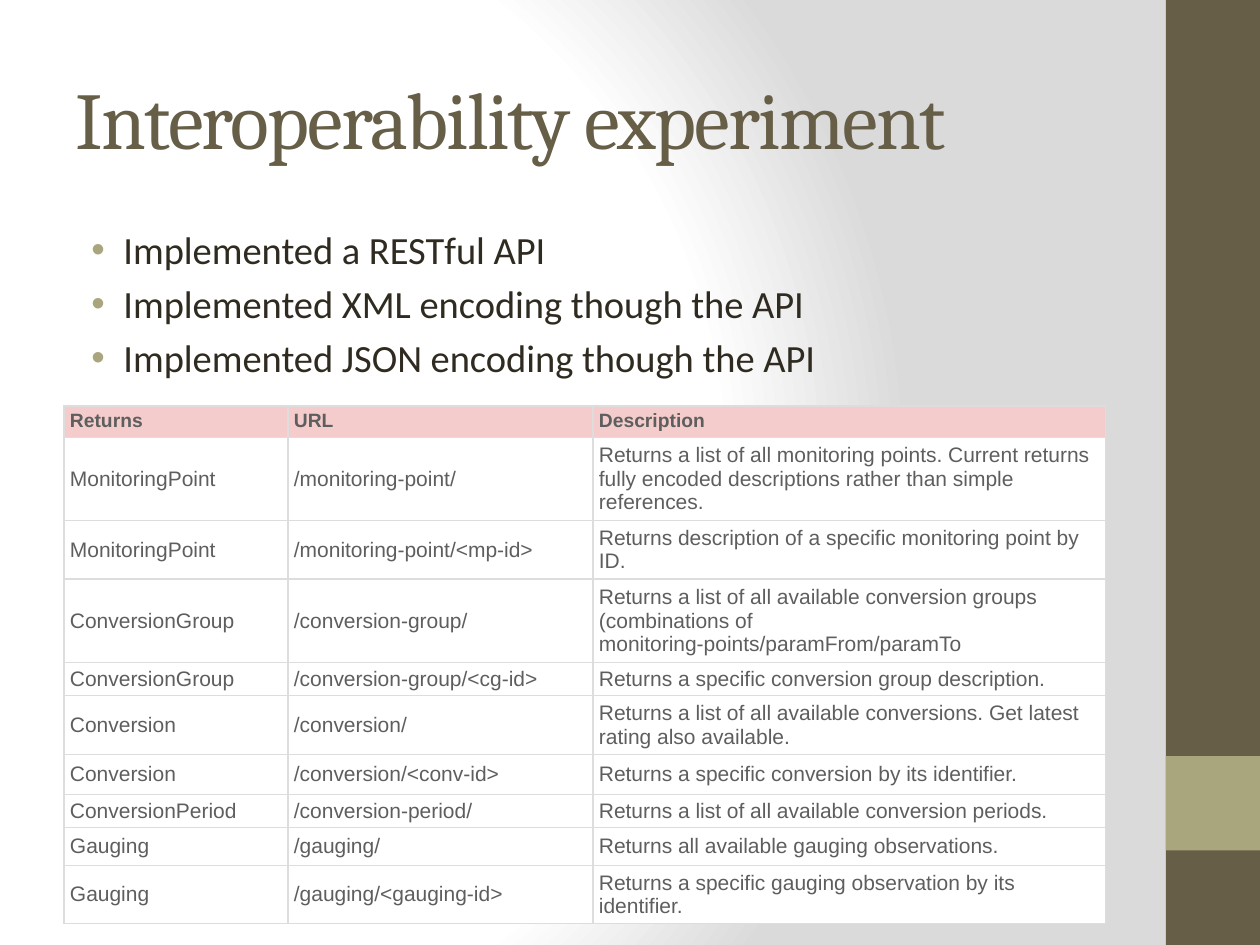
from pptx import Presentation, util as u
from pptx.dml.color import RGBColor
from pptx.enum import shapes, text
from pptx.oxml import parse_xml
from pptx.oxml.ns import nsdecls

BROWN = RGBColor(0x67, 0x5E, 0x47)
OLIVE = RGBColor(0xA9, 0xA5, 0x7C)
INK = RGBColor(0x2F, 0x2B, 0x20)
GREY = RGBColor(0x5E, 0x5E, 0x5E)
PINK = RGBColor(0xF4, 0xCC, 0xCC)
WHITE = RGBColor(0xFF, 0xFF, 0xFF)
SHADE = RGBColor(0xDA, 0xDA, 0xDA)
RULE = RGBColor(0xDD, 0xDD, 0xDD)

POINTS = [
    "Implemented a RESTful API",
    "Implemented XML encoding though the API",
    "Implemented JSON encoding though the API",
]
COLS = [224, 305, 513]
ROWS = [
    (31, "Returns", "URL", "Description"),
    (80, "MonitoringPoint", "/monitoring-point/",
     "Returns a list of all monitoring points. Current returns fully encoded "
     "descriptions rather than simple references."),
    (55, "MonitoringPoint", "/monitoring-point/<mp-id>",
     "Returns description of a specific monitoring point by ID."),
    (79, "ConversionGroup", "/conversion-group/",
     "Returns a list of all available conversion groups (combinations of "
     "monitoring-points/paramFrom/paramTo"),
    (32, "ConversionGroup", "/conversion-group/<cg-id>",
     "Returns a specific conversion group description."),
    (58, "Conversion", "/conversion/",
     "Returns a list of all available conversions. Get latest rating also available."),
    (40, "Conversion", "/conversion/<conv-id>",
     "Returns a specific conversion by its identifier."),
    (31, "ConversionPeriod", "/conversion-period/",
     "Returns a list of all available conversion periods."),
    (38, "Gauging", "/gauging/", "Returns all available gauging observations."),
    (57, "Gauging", "/gauging/<gauging-id>",
     "Returns a specific gauging observation by its identifier."),
]


def px(n):
    return u.Emu(round(n * 914400 / 126))


def style(para, name, size, color, bold=False):
    for run in para.runs:
        font = run.font
        font.name, font.size, font.bold = name, u.Pt(size), bold
        font.color.rgb = color


def backdrop(slide):
    """Fill the background with a radial gradient centred left of the middle."""
    stops = "".join(
        f'<a:gs pos="{pos * 1000}"><a:srgbClr val="{color}"/></a:gs>'
        for pos, color in [(0, WHITE), (75, WHITE), (100, SHADE)])
    slide.element.cSld.insert(0, parse_xml(
        f'<p:bg {nsdecls("p", "a")}><p:bgPr><a:gradFill rotWithShape="1">'
        f'<a:gsLst>{stops}</a:gsLst><a:path path="circle">'
        '<a:fillToRect l="20000" t="50000" r="100000" b="50000"/></a:path>'
        '</a:gradFill><a:effectLst/></p:bgPr></p:bg>'))


def block(slide, x, y, w, h, color):
    rect = slide.shapes.add_shape(
        shapes.MSO_SHAPE.RECTANGLE, px(x), px(y), px(w), px(h))
    rect.shadow.inherit = False
    rect.fill.solid()
    rect.fill.fore_color.rgb = color
    rect.line.fill.background()


def sidebar(slide, x, y, w, h):
    block(slide, x, y, w, h, BROWN)
    block(slide, x, y + h * 4 / 5, w, h / 10, OLIVE)


def textbox(slide, x, y, w, h):
    frame = slide.shapes.add_textbox(px(x), px(y), px(w), px(h)).text_frame
    frame.word_wrap = True
    return frame


def title(slide, x, y, w, h):
    frame = textbox(slide, x, y, w, h)
    frame.vertical_anchor = text.MSO_ANCHOR.MIDDLE
    frame.text = "Interoperability experiment"
    para = frame.paragraphs[0]
    style(para, "Cambria", 46, BROWN)
    para.runs[0].font._element.set("spc", "-100")


def bullets(slide, x, y, w, h):
    frame = textbox(slide, x, y, w, h)
    frame.text = "\n".join(POINTS)
    for i, para in enumerate(frame.paragraphs):
        props = para._p.get_or_add_pPr()
        props.set("marL", str(px(48)))
        props.set("indent", str(-px(32)))
        if i:
            para.space_before = u.Pt(4.4)
        for tag in (f'<a:buClr {nsdecls("a")}><a:srgbClr val="{OLIVE}"/></a:buClr>',
                    f'<a:buFont {nsdecls("a")} typeface="Arial"/>',
                    f'<a:buChar {nsdecls("a")} char="•"/>'):
            props.append(parse_xml(tag))
        style(para, "Calibri", 22, INK)


def border(cell):
    props = cell._tc.get_or_add_tcPr()
    for i, side in enumerate("LRTB"):
        props.insert(i, parse_xml(
            f'<a:ln{side} {nsdecls("a")} w="9525"><a:solidFill>'
            f'<a:srgbClr val="{RULE}"/></a:solidFill></a:ln{side}>'))


def api_table(slide, x, y):
    table = slide.shapes.add_table(
        len(ROWS), len(COLS), px(x), px(y), px(sum(COLS)),
        px(sum(row[0] for row in ROWS))).table
    for col, wide in zip(table.columns, COLS):
        col.width = px(wide)
    for r, (high, *words) in enumerate(ROWS):
        table.rows[r].height = px(high)
        head = r == 0
        for c, word in enumerate(words):
            cell = table.cell(r, c)
            cell.text = word
            cell.margin_left = px(6)
            cell.margin_right = px(12 if head else 6)
            cell.margin_top = cell.margin_bottom = px(4)
            cell.vertical_anchor = (
                text.MSO_ANCHOR.TOP if head else text.MSO_ANCHOR.MIDDLE)
            cell.fill.solid()
            cell.fill.fore_color.rgb = PINK if head else WHITE
            style(cell.text_frame.paragraphs[0], "Arial",
                  11 if head else 12, GREY, head)
            border(cell)


def main():
    deck = Presentation()
    deck.slide_width, deck.slide_height = px(1260), px(945)
    slide = deck.slides.add_slide(deck.slide_layouts[6])
    backdrop(slide)
    sidebar(slide, 1166, 0, 94, 945)
    title(slide, 63, 38, 1050, 158)
    bullets(slide, 63, 220, 1050, 662)
    api_table(slide, 64, 406)
    deck.save("out.pptx")


if __name__ == "__main__":
    main()
